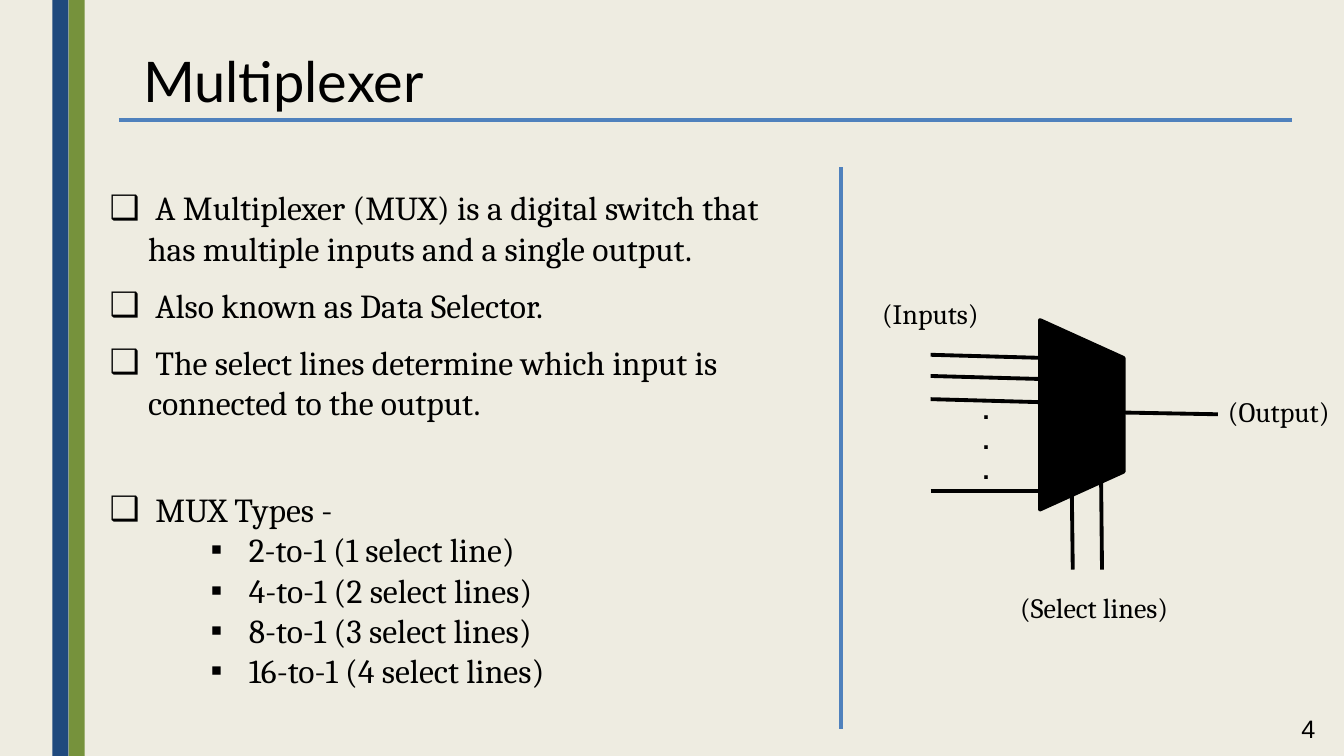
from dataclasses import dataclass

from lxml.etree import SubElement
from pptx import Presentation
from pptx.dml.color import RGBColor
from pptx.enum.shapes import MSO_CONNECTOR as Conn, MSO_SHAPE as Shape
from pptx.enum.text import PP_ALIGN as Align
from pptx.oxml.ns import qn
from pptx.util import Inches, Pt


@dataclass(frozen=True)
class Theme:
    paper: str = "EEECE1"
    navy: str = "1F497D"
    green: str = "76923C"
    rule: str = "4F81BD"
    ink: str = "000000"
    serif: str = "Cambria"
    sans: str = "Arial"
    heading: str = "Lato"
    title: int = 40
    body: int = 24
    label: int = 20
    small: int = 18
    stroke: float = 2.75
    hang: float = 0.38


class Builder:
    def __init__(self, slide, theme):
        self.s = slide
        self.t = theme
        fill = slide.background.fill
        fill.solid()
        fill.fore_color.rgb = RGBColor.from_string(theme.paper)

    def shape(self, kind, box, color, rotation=0, outlined=False):
        sp = self.s.shapes.add_shape(kind, *map(Inches, box))
        sp.shadow.inherit = False
        sp.rotation = rotation
        sp.fill.solid()
        sp.fill.fore_color.rgb = RGBColor.from_string(color)
        if outlined:
            self.stroke(sp, color)
        else:
            sp.line.fill.background()

    def stroke(self, sp, color):
        sp.line.color.rgb = RGBColor.from_string(color)
        sp.line.width = Pt(self.t.stroke)

    def line(self, x1, y1, x2, y2, color):
        c = self.s.shapes.add_connector(Conn.STRAIGHT, *map(Inches, (x1, y1, x2, y2)))
        self.stroke(c, color)
        SubElement(c._element.spPr, qn("a:effectLst"))

    def frame(self, box):
        tf = self.s.shapes.add_textbox(*map(Inches, box)).text_frame
        tf.word_wrap = True
        return tf

    def paragraph(self, tf, text, size, font, bold=False):
        p = tf.paragraphs[0]
        if p.runs:
            p = tf.add_paragraph()
        r = p.add_run()
        r.text = text
        r.font.size = Pt(size)
        r.font.name = font
        r.font.bold = bold
        r.font.color.rgb = RGBColor.from_string(self.t.ink)
        return p

    def text(self, box, text, size, font):
        self.paragraph(self.frame(box), text, size, font)

    def bullet(self, tf, text, char, level=0, after=0):
        p = self.paragraph(tf, text, self.t.body, self.t.serif)
        p.level = level
        p.space_after = Pt(after)
        pPr = p._p.get_or_add_pPr()
        pPr.set("marL", str(Inches(self.t.hang + level)))
        pPr.set("indent", str(-Inches(self.t.hang)))
        SubElement(pPr, qn("a:buFont")).set("typeface", self.t.sans)
        SubElement(pPr, qn("a:buChar")).set("char", char)

    def dots(self, box, count):
        tf = self.frame(box)
        tf.margin_left = tf.margin_right = 0
        for _ in range(count):
            p = self.paragraph(tf, ".", self.t.small, self.t.sans, bold=True)
            p.alignment = Align.CENTER


prs = Presentation()
prs.slide_width, prs.slide_height = Inches(13.33), Inches(7.5)
theme = Theme()
b = Builder(prs.slides.add_slide(prs.slide_layouts[6]), theme)

for x, color in ((0.68, theme.green), (0.52, theme.navy)):
    b.shape(Shape.RECTANGLE, (x, 0, 0.16, 7.5), color)
b.text((12.81, 7.03, 0.41, 0.4), "4", theme.small, theme.sans)
b.line(1.18, 1.19, 12.81, 1.19, theme.rule)
b.line(8.34, 1.66, 8.34, 7.23, theme.rule)
b.text((1.32, 0.41, 5.29, 0.77), "Multiplexer", theme.title, theme.heading)

facts = b.frame((0.99, 1.81, 7.04, 2.46))
for fact in (
    " A Multiplexer (MUX) is a digital switch that has multiple inputs and a single output.",
    " Also known as Data Selector.",
    " The select lines determine which input is connected to the output.",
):
    b.bullet(facts, fact, "❑", after=12)

types = b.frame((0.99, 4.8, 4.94, 2.12))
b.bullet(types, " MUX Types -", "❑")
for selects in range(1, 5):
    plural = "s" if selects > 1 else ""
    b.bullet(types, f"{2 ** selects}-to-1 ({selects} select line{plural})", "▪", level=1)

b.shape(Shape.FLOWCHART_MANUAL_OPERATION, (9.79, 3.7, 1.88, 0.83), theme.ink,
        rotation=270, outlined=True)
for y, drop in ((3.52, 0.03), (3.73, 0.03), (3.96, 0.03), (4.87, 0)):
    b.line(9.23, y, 10.32, y + drop, theme.ink)
b.line(10.99, 4.09, 12.08, 4.11, theme.ink)
for x, top in ((10.63, 4.83), (10.92, 4.65)):
    b.line(x, top, x + 0.01, 5.65, theme.ink)
b.dots((9.72, 3.86, 0.12, 1.01), 3)
for x, y, width, label in (
    (8.65, 2.89, 1.46, "(Inputs)"),
    (12.08, 3.86, 1.25, "(Output)"),
    (10.02, 5.81, 2.21, "(Select lines)"),
):
    b.text((x, y, width, 0.44), label, theme.label, theme.serif)

prs.save("out.pptx")
